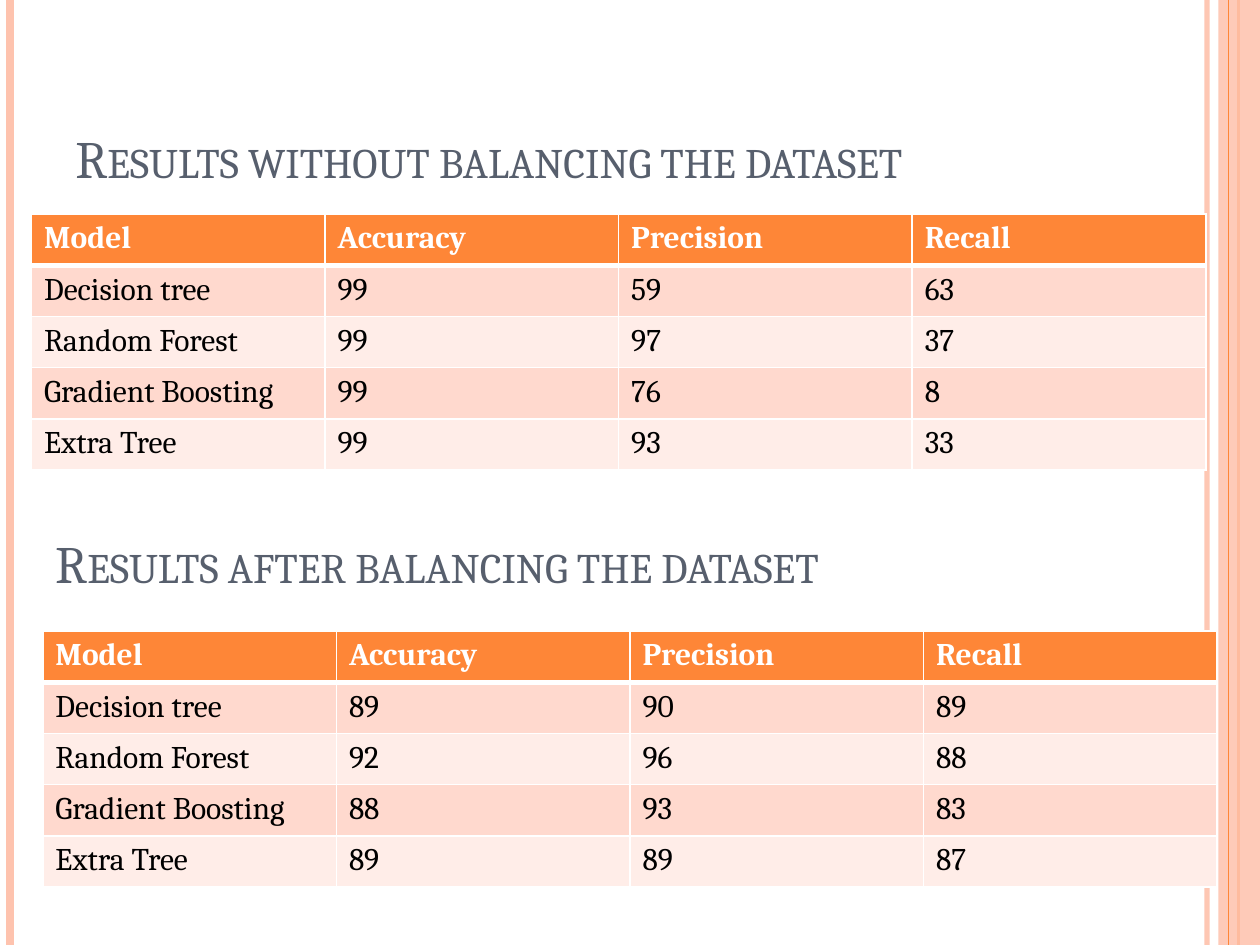
from lxml import etree
from pptx import Presentation
from pptx.dml.color import RGBColor
from pptx.enum import shapes, text
from pptx.oxml import ns
from pptx.util import Inches, Pt

FONT = "Cambria"
ORANGE = RGBColor(0xFE, 0x86, 0x37)
PEACH = RGBColor(0xFE, 0xC3, 0xAE)
SLATE = RGBColor(0x57, 0x5F, 0x6D)
WHITE = RGBColor(0xFF, 0xFF, 0xFF)
BLACK = RGBColor(0, 0, 0)
BANDS = [RGBColor(0xFF, 0xD9, 0xCE), RGBColor(0xFF, 0xED, 0xE8)]

HEADER = ["Model", "Accuracy", "Precision", "Recall"]
MODELS = ["Decision tree", "Random Forest", "Gradient Boosting", "Extra Tree"]
RESULTS = [
    {"title": "Results without balancing the dataset",
     "title_at": (0.5, 0.3), "table_at": (0.25, 1.7),
     "scores": [(99, 59, 63), (99, 97, 37), (99, 76, 8), (99, 93, 33)]},
    {"title": "Results after balancing the dataset",
     "title_at": (0.34, 3.51), "table_at": (0.34, 5.01),
     "scores": [(89, 90, 89), (92, 96, 88), (88, 93, 83), (89, 89, 87)]},
]
LEFT_RULES = [(9.58, PEACH, 3, 93), (0.08, PEACH, 4.5, 100), (9.83, ORANGE, 1.5, 100)]
BAND_RULE = (9.75, ORANGE, 0.75, 100)
BAND = (9.67, 0.33, 87)
TITLE_SIZE = (8.17, 1.25)
COL_WIDTH, ROW_HEIGHT = 2.33, 0.406
SLIDE_WIDTH, SLIDE_HEIGHT = 10, 7.5


def add_text(tf, content, size=18, color=BLACK, bold=False, small_caps=False):
    r = tf.paragraphs[0].add_run()
    r.text = content
    r.font.name, r.font.size, r.font.bold = FONT, Pt(size), bold
    r.font.color.rgb = color
    if small_caps:
        r._r.get_or_add_rPr().set("cap", "small")


def set_alpha(element, percent):
    color = element.find(".//" + ns.qn("a:srgbClr"))
    etree.SubElement(color, ns.qn("a:alpha"), val=str(percent * 1000))


def add_rule(s, x, color, width, opacity):
    line = s.shapes.add_connector(shapes.MSO_CONNECTOR.STRAIGHT, Inches(x), 0,
                                  Inches(x), Inches(SLIDE_HEIGHT))
    line.line.color.rgb, line.line.width = color, Pt(width)
    if opacity < 100:
        set_alpha(line._element.spPr, opacity)
    etree.SubElement(line._element.spPr, ns.qn("a:effectLst"))


def add_band(s, x, width, opacity):
    band = s.shapes.add_shape(shapes.MSO_SHAPE.RECTANGLE, Inches(x), 0,
                              Inches(width), Inches(SLIDE_HEIGHT))
    band.shadow.inherit = False
    band.fill.solid()
    band.fill.fore_color.rgb = PEACH
    band.line.fill.background()
    set_alpha(band._element.spPr, opacity)


def add_title(s, content, x, y):
    sp = s.shapes.add_textbox(*map(Inches, (x, y, *TITLE_SIZE)))
    tf = sp.text_frame
    tf.word_wrap = True
    tf.vertical_anchor = text.MSO_ANCHOR.BOTTOM
    add_text(tf, content, size=30, color=SLATE, small_caps=True)


def set_borders(cell, **widths):
    tcPr = cell._tc.get_or_add_tcPr()
    for side in "LRTB":
        ln = etree.SubElement(tcPr, ns.qn("a:ln" + side), w=str(Pt(widths.get(side, 1))))
        fill = etree.SubElement(ln, ns.qn("a:solidFill"))
        etree.SubElement(fill, ns.qn("a:srgbClr"), val=str(WHITE))


def add_results(s, scores, x, y):
    rows = [HEADER] + [[model, *values] for model, values in zip(MODELS, scores)]
    table = s.shapes.add_table(len(rows), len(HEADER), Inches(x), Inches(y),
                               Inches(COL_WIDTH * len(HEADER)),
                               Inches(ROW_HEIGHT * len(rows))).table
    table.horz_banding = False
    for i, row in enumerate(rows):
        header = i == 0
        borders = {0: {"B": 3}, 1: {"T": 3}}.get(i, {})
        for j, value in enumerate(row):
            cell = table.cell(i, j)
            set_borders(cell, **borders)
            cell.fill.solid()
            cell.fill.fore_color.rgb = ORANGE if header else BANDS[(i - 1) % 2]
            add_text(cell.text_frame, str(value), bold=header,
                     color=WHITE if header else BLACK)


def main():
    prs = Presentation()
    prs.slide_width, prs.slide_height = Inches(SLIDE_WIDTH), Inches(SLIDE_HEIGHT)
    s = prs.slides.add_slide(prs.slide_layouts[6])
    for rule in LEFT_RULES:
        add_rule(s, *rule)
    add_band(s, *BAND)
    add_rule(s, *BAND_RULE)
    for result in RESULTS:
        add_title(s, result["title"], *result["title_at"])
        add_results(s, result["scores"], *result["table_at"])
    prs.save("out.pptx")


if __name__ == "__main__":
    main()
